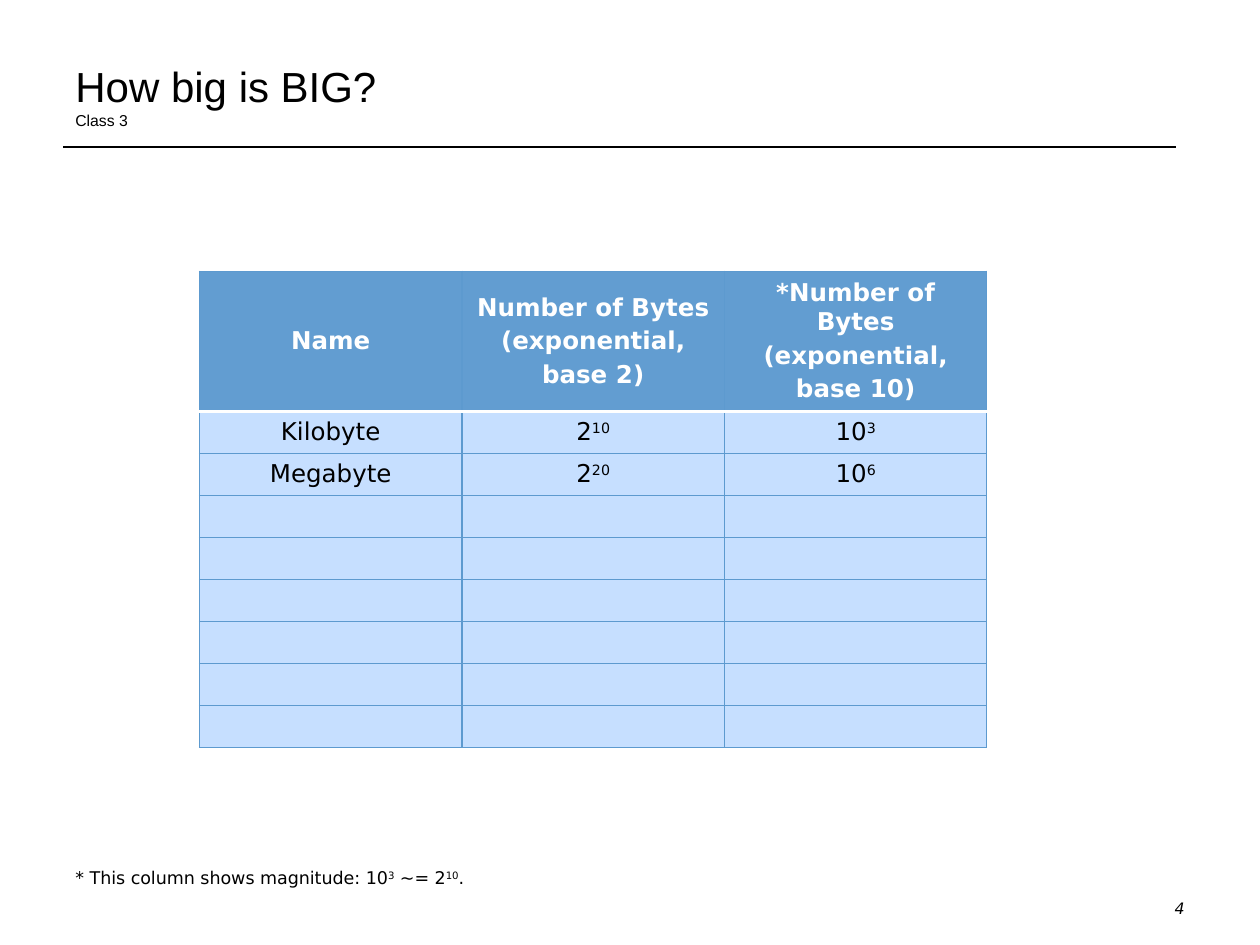
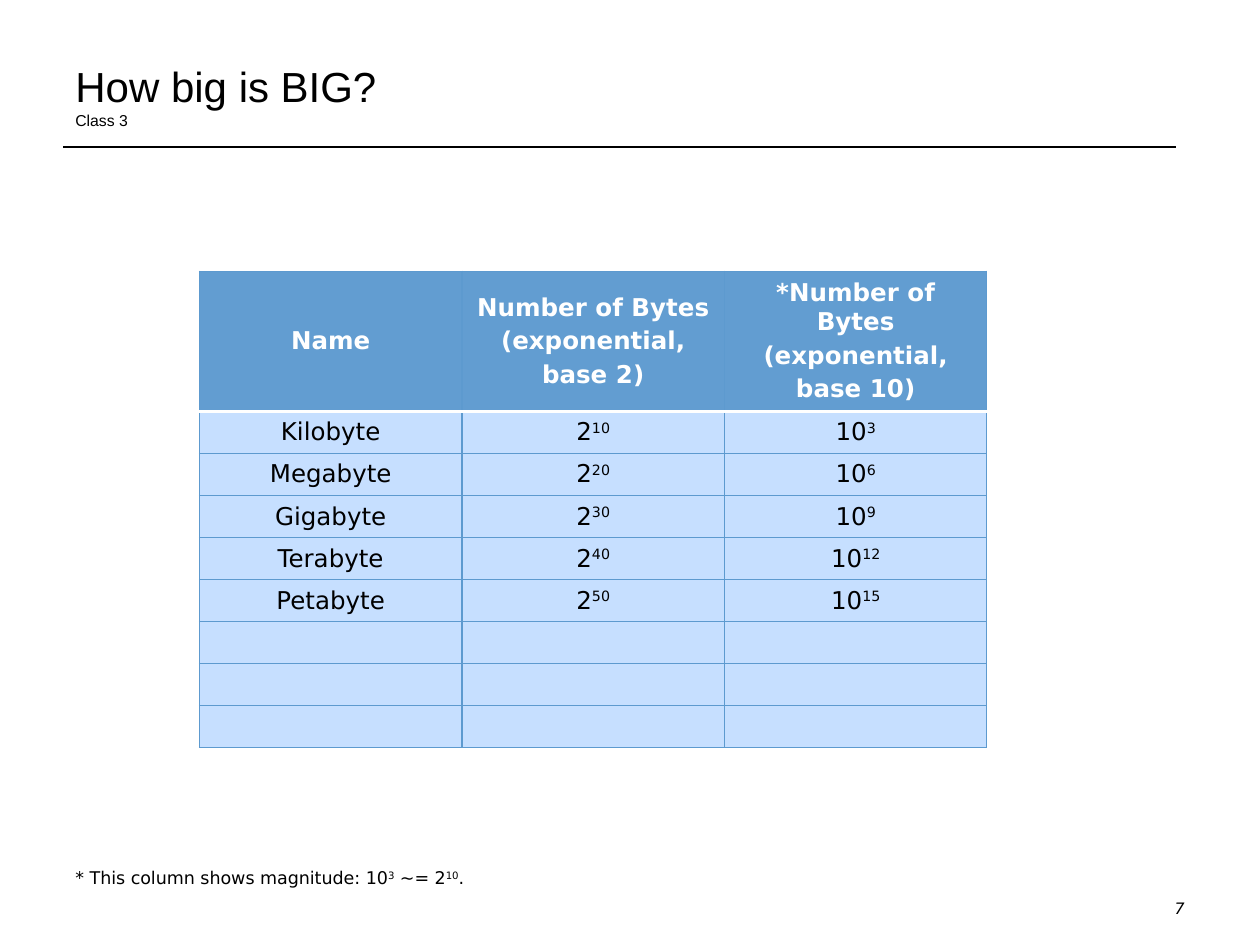
from lxml import etree
from pptx import Presentation
from pptx.dml.color import RGBColor
from pptx.enum import shapes, text
from pptx.oxml import ns
from pptx.util import Pt

TITLE, SUBTITLE = "How big is BIG?", "Class 3"
# Text between carets is superscript.
FOOTNOTE = "* This column shows magnitude: 10^3^ ~= 2^10^."
HEADERS = ["Name", "Number of Bytes\n(exponential,\nbase 2)",
           "*Number of Bytes\n(exponential,\nbase 10)"]
UNITS = ["Kilobyte", "Megabyte", "Gigabyte", "Terabyte", "Petabyte"]
SLIDES = [(4, 2), (7, 5)]  # page number, units revealed
BODY_ROWS = 8

BLACK = RGBColor(0x00, 0x00, 0x00)
WHITE = RGBColor(0xFF, 0xFF, 0xFF)
HEADER_FILL = RGBColor(0x62, 0x9D, 0xD1)
BODY_FILL = RGBColor(0xC6, 0xDF, 0xFF)
GRID = RGBColor(0x5D, 0x9A, 0xCF)
TITLE_FONT, BODY_FONT = "Arial", "DejaVu Sans"

TABLE_LEFT, TABLE_TOP = 114, 155
COLUMN_WIDTH, HEADER_HEIGHT, ROW_HEIGHT = 150, 78.8, 24


def add_run(p, content, size, font=BODY_FONT, color=BLACK, bold=False,
            italic=False, raised=False):
    r = p.add_run()
    r.text = content
    r.font.size, r.font.name = Pt(size), font
    r.font.bold, r.font.italic = bold, italic
    r.font.color.rgb = color
    if raised:
        r.font._element.set("baseline", "30000")


def write(tf, content, size, align=text.PP_ALIGN.LEFT, gap=0, **style):
    """Fill a frame: one paragraph a line, carets around superscripts."""
    for i, line in enumerate(content.split("\n")):
        p = tf.add_paragraph() if i else tf.paragraphs[0]
        p.alignment = align
        if i:
            p.space_before = Pt(gap)
        for j, part in enumerate(line.split("^")):
            if part:
                add_run(p, part, size, raised=j % 2 == 1, **style)
        if not line:
            end = etree.SubElement(p._p, ns.qn("a:endParaRPr"))
            end.set("sz", str(size * 100))
    return tf.paragraphs[-1]


def add_text(s, box, content, size, anchor=text.MSO_ANCHOR.TOP, **style):
    tf = s.shapes.add_textbox(*map(Pt, box)).text_frame
    tf.word_wrap = True
    tf.vertical_anchor = anchor
    return write(tf, content, size, **style)


def set_borders(cell, **edges):
    """Draw cell edges given as L, R, T, B = (colour, width)."""
    tc_pr = cell._tc.get_or_add_tcPr()
    for i, side in enumerate("LRTB"):
        color, width = edges.get(side, (GRID, 0.75))
        ln = etree.Element(ns.qn(f"a:ln{side}"), w=str(Pt(width)))
        fill = etree.SubElement(ln, ns.qn("a:solidFill"))
        etree.SubElement(fill, ns.qn("a:srgbClr"), val=str(color))
        tc_pr.insert(i, ln)


def add_byte_table(s, revealed):
    rows = [HEADERS]
    for n, unit in enumerate(UNITS[:revealed], 1):
        rows.append([unit, f"2^{10 * n}^", f"10^{3 * n}^"])
    rows += [[""] * len(HEADERS)] * (BODY_ROWS - revealed)

    heights = [HEADER_HEIGHT] + [ROW_HEIGHT] * BODY_ROWS
    table = s.shapes.add_table(
        len(rows), len(HEADERS), Pt(TABLE_LEFT), Pt(TABLE_TOP),
        Pt(COLUMN_WIDTH * len(HEADERS)), Pt(sum(heights))).table
    for column in table.columns:
        column.width = Pt(COLUMN_WIDTH)
    for i, (values, height) in enumerate(zip(rows, heights)):
        table.rows[i].height = Pt(height)
        is_header = i == 0
        edges = {0: {"B": (WHITE, 2)}, 1: {"T": (WHITE, 2)}}.get(i, {})
        for j, value in enumerate(values):
            cell = table.cell(i, j)
            cell.vertical_anchor = text.MSO_ANCHOR.MIDDLE
            cell.fill.solid()
            cell.fill.fore_color.rgb = HEADER_FILL if is_header else BODY_FILL
            set_borders(cell, **edges)
            write(cell.text_frame, value, 14, align=text.PP_ALIGN.CENTER,
                  gap=2.8, bold=is_header,
                  color=WHITE if is_header else BLACK)


def add_frame(s, page):
    """Add the title, rule, footnote and page number all slides share."""
    rule = s.shapes.add_connector(shapes.MSO_CONNECTOR.STRAIGHT,
                                  Pt(36), Pt(84), Pt(672), Pt(84))
    rule.line.color.rgb, rule.line.width = BLACK, Pt(1.5)
    etree.SubElement(rule._element.spPr, ns.qn("a:effectLst"))
    add_text(s, (516, 510, 168, 18), str(page), 9,
             align=text.PP_ALIGN.RIGHT, italic=True)
    p = add_text(s, (36, 21.6, 648, 56), TITLE, 24, font=TITLE_FONT,
                 anchor=text.MSO_ANCHOR.BOTTOM)
    p.add_line_break()
    add_run(p, SUBTITLE, 9, font=TITLE_FONT)
    add_text(s, (36, 492, 648, 19.4), FOOTNOTE, 10)


def main():
    prs = Presentation()
    prs.slide_width, prs.slide_height = Pt(720), Pt(540)
    for page, revealed in SLIDES:
        s = prs.slides.add_slide(prs.slide_layouts[6])
        add_frame(s, page)
        add_byte_table(s, revealed)
    prs.save("out.pptx")


if __name__ == "__main__":
    main()
